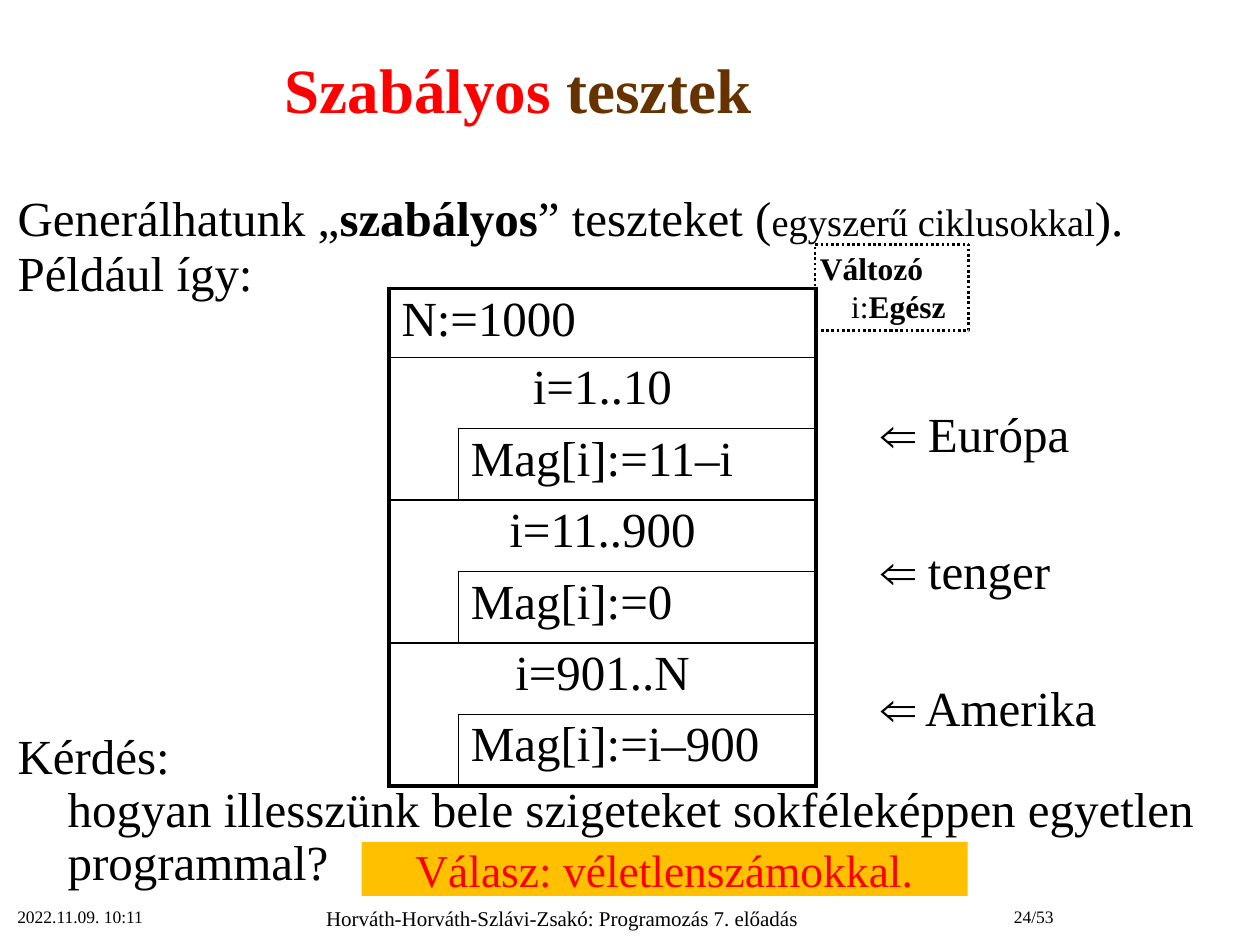
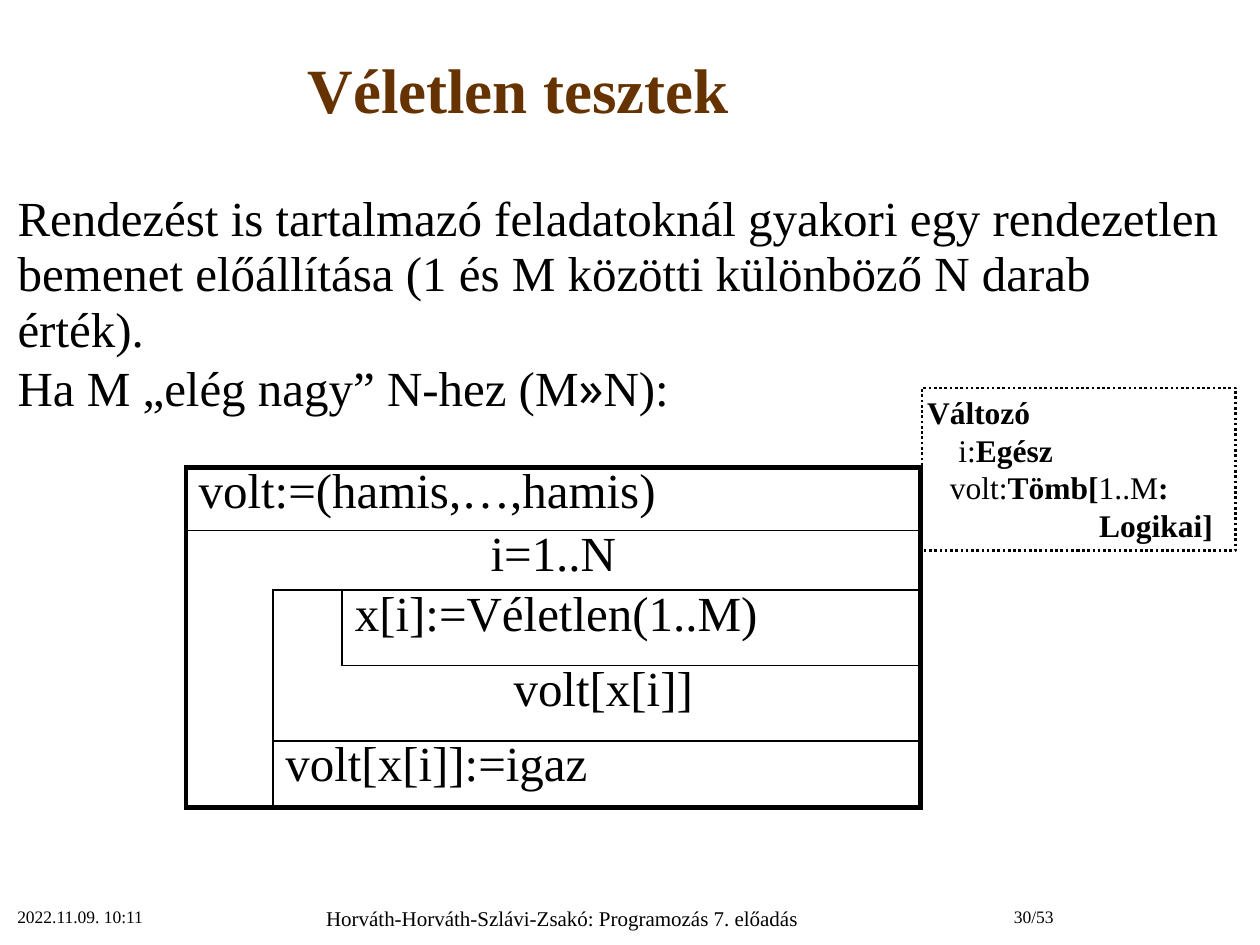
"""Build two lecture slides about regular and random test data."""
from dataclasses import dataclass

from lxml import etree
from pptx import Presentation
from pptx import util as u
from pptx.dml.color import RGBColor
from pptx.enum import dml, shapes, text
from pptx.oxml.ns import qn


@dataclass(frozen=True)
class Theme:
    font: str = "Times New Roman"
    symbol_font: str = "Noto Sans"
    black: str = "000000"
    red: str = "FF0000"
    brown: str = "663300"
    amber: str = "FFC000"
    title: int = 36
    body: int = 28
    answer: int = 26
    aside: int = 22
    variable: int = 18
    footer: int = 12
    stamp: int = 10
    plain_table: str = "{2D5ABB26-0587-4C30-8999-92F81FD0307C}"


theme = Theme()
LEFT, CENTER, RIGHT = text.PP_ALIGN.LEFT, text.PP_ALIGN.CENTER, text.PP_ALIGN.RIGHT
BOLD = {"bold": True}


def write(frame, spans, size=theme.body, color=theme.black, bold=False, font=theme.font,
          align=LEFT, leading=1.0, before=0, indent=0):
    """Add one paragraph made of a string or of (text, format) spans."""
    first = frame.paragraphs[0]
    para = frame.add_paragraph() if first.runs else first
    para.alignment = align
    para.line_spacing = leading
    para.space_before = u.Pt(before)
    properties = para._p.get_or_add_pPr()
    properties.set("marL", str(u.Cm(indent)))
    properties.set("indent", "0")
    etree.SubElement(properties, qn("a:buNone"))
    for words, style in [(spans, {})] if isinstance(spans, str) else spans:
        span = para.add_run()
        span.text = words
        span.font.name = style.get("font", font)
        span.font.size = u.Pt(style.get("size", size))
        span.font.bold = style.get("bold", bold)
        span.font.color.rgb = RGBColor.from_string(style.get("color", color))


def draw_edges(cell, edges, heavy):
    """Rule the named sides of a cell, capitals heavy and small letters thin; clear the rest."""
    properties = cell._tc.get_or_add_tcPr()
    for side in "LRTB":
        width = heavy if side in edges else 1
        line = etree.SubElement(properties, qn(f"a:ln{side}"), w=str(u.Pt(width)))
        if side in edges.upper():
            fill = etree.SubElement(line, qn("a:solidFill"))
            etree.SubElement(fill, qn("a:srgbClr"), val=theme.black)
        else:
            etree.SubElement(line, qn("a:noFill"))
    cell.fill.background()


deck = Presentation()
deck.slide_width, deck.slide_height = u.Cm(25.4), u.Cm(19.05)

regular_loops = [("i=1..10", "Mag[i]:=11–i"), ("i=11..900", "Mag[i]:=0"),
                 ("i=901..N", "Mag[i]:=i–900")]
regular_blocks = [(0, 0, 2, "N:=1000", {}, "LTRb")]
for index, (header, step) in enumerate(regular_loops):
    row = 2 * index + 1
    bottom = "B" if index == len(regular_loops) - 1 else "b"
    regular_blocks += [(row, 0, 2, header, {"align": CENTER}, "LtR"),
                       (row + 1, 0, 1, "", {}, "Lr" + bottom),
                       (row + 1, 1, 1, step, {}, "ltR" + bottom)]

random_blocks = [
    (0, 0, 3, "volt:=(hamis,…,hamis)", {}, "LTRb"),
    (1, 0, 3, "i=1..N", {"align": CENTER}, "LtR"),
    (2, 0, 1, "", {}, "Lr"),
    (2, 1, 1, "", {}, "ltr"),
    (2, 2, 1, "x[i]:=Véletlen(1..M)", {}, "ltRb"),
    (3, 0, 1, "", {}, "Lr"),
    (3, 1, 1, "", {}, "lb"),
    (3, 2, 1, "volt[x[i]]", {"indent": 3.2}, "tRb"),
    (4, 0, 1, "", {}, "LrB"),
    (4, 1, 2, "volt[x[i]]:=igaz", {}, "ltRB"),
]

variable_lines = [("Változó", 0), ([("i:", {}), ("Egész", BOLD)], 0.63)]
array_lines = [([("volt:", {}), ("Tömb[", BOLD), ("1..M", {}), (":", BOLD)], 0.46),
               ("Logikai]", 3.47)]

lessons = [
    {
        "title": [("Szabályos", {"color": theme.red}), (" tesztek", {})],
        "body": [
            ([("Generálhatunk „", {}), ("szabályos", BOLD), ("” teszteket (", {}),
              ("egyszerű ciklusokkal", {"size": theme.aside}), ("). Például így:", {})],
             {"leading": 0.95}),
            ("Kérdés:", {"before": 245, "leading": 0.9}),
            ("hogyan illesszünk bele szigeteket sokféleképpen egyetlen programmal?",
             {"leading": 0.9, "indent": 1.01}),
        ],
        "body_height": 14.33,
        "number": "24/53",
        "table_at": (7.84, 5.82),
        "columns": [1.4, 7.21],
        "rows": [1.37] + [1.44] * 6,
        "blocks": regular_blocks,
        "heavy": 2.25,
        "leading": 0.95,
        "variables_at": (16.43, 4.93, 3.1, 1.73),
        "variables": variable_lines,
    },
    {
        "title": "Véletlen tesztek",
        "body": [
            ("Rendezést is tartalmazó feladatoknál gyakori egy rendezetlen bemenet "
             "előállítása (1 és M közötti különböző N darab érték).", {"leading": 0.95}),
            ([("Ha M „elég nagy” N-hez (M", {}), ("»", {"font": theme.symbol_font}),
              ("N):", {})], {"before": 1.4, "leading": 0.95}),
        ],
        "body_height": 13.21,
        "number": "30/53",
        "table_at": (3.75, 9.42),
        "columns": [1.75, 1.4, 11.66],
        "rows": [1.27, 1.19, 1.52, 1.52, 1.35],
        "blocks": random_blocks,
        "heavy": 3,
        "leading": 0.8,
        "variables_at": (18.59, 7.82, 6.32, 3.28),
        "variables": variable_lines + array_lines,
    },
]

for lesson in lessons:
    page = deck.slides.add_slide(deck.slide_layouts[1])

    title, body = page.placeholders
    for holder, place in ((title, (0, 0.23, 20.9, 3.1)),
                          (body, (0.1, 3.73, 24.82, lesson["body_height"]))):
        holder.left, holder.top, holder.width, holder.height = map(u.Cm, place)
        holder.text_frame.auto_size = text.MSO_AUTO_SIZE.NONE
    title.text_frame.vertical_anchor = text.MSO_ANCHOR.MIDDLE
    write(title.text_frame, lesson["title"], size=theme.title, color=theme.brown,
          bold=True, align=CENTER)
    for spans, style in lesson["body"]:
        write(body.text_frame, spans, **style)

    for words, left, width, size, align in (
            ("2022.11.09. 10:11", 0.1, 5.28, theme.stamp, LEFT),
            ("Horváth-Horváth-Szlávi-Zsakó: Programozás 7. előadás", 5.38, 11.91,
             theme.footer, CENTER),
            (lesson["number"], 18.26, 3.23, theme.stamp, RIGHT)):
        box = page.shapes.add_textbox(u.Cm(left), u.Cm(18.14), u.Cm(width), u.Cm(0.91))
        box.text_frame.word_wrap = True
        write(box.text_frame, words, size=size, align=align)

    columns, rows = lesson["columns"], lesson["rows"]
    left, top = lesson["table_at"]
    table = page.shapes.add_table(len(rows), len(columns), u.Cm(left), u.Cm(top),
                                  u.Cm(sum(columns)), u.Cm(sum(rows))).table
    table.first_row = table.horz_banding = False
    table._tbl.tblPr.find(qn("a:tableStyleId")).text = theme.plain_table
    for column, width in zip(table.columns, columns):
        column.width = u.Cm(width)
    for row, height in zip(table.rows, rows):
        row.height = u.Cm(height)
    for row, column, reach, words, style, edges in lesson["blocks"]:
        cell = table.cell(row, column)
        if reach > 1:
            cell.merge(table.cell(row, column + reach - 1))
        for offset in range(reach):
            hidden = "" if offset == 0 else "Ll" if offset == reach - 1 else "LlRr"
            kept = "".join(edge for edge in edges if edge not in hidden)
            draw_edges(table.cell(row, column + offset), kept, lesson["heavy"])
        if words:
            write(cell.text_frame, words, leading=lesson["leading"], **style)

    box = page.shapes.add_shape(shapes.MSO_SHAPE.RECTANGLE, *map(u.Cm, lesson["variables_at"]))
    box.shadow.inherit = False
    box.fill.background()
    box.line.color.rgb = RGBColor.from_string(theme.black)
    box.line.width = u.Pt(1.5)
    box.line.dash_style = dml.MSO_LINE.ROUND_DOT
    frame = box.text_frame
    frame.margin_left = frame.margin_right = frame.margin_top = frame.margin_bottom = u.Cm(0.1)
    frame.vertical_anchor = text.MSO_ANCHOR.TOP
    for spans, indent in lesson["variables"]:
        write(frame, spans, size=theme.variable, bold=isinstance(spans, str), indent=indent)

page = deck.slides[0]
box = page.shapes.add_textbox(u.Cm(17.5), u.Cm(8), u.Cm(5.99), u.Cm(8))
box.text_frame.word_wrap = True
for index, region in enumerate(["Európa", "tenger", "Amerika"]):
    write(box.text_frame, f"⇐ {region}", before=44.8 if index else 0)

answer = page.shapes.add_shape(shapes.MSO_SHAPE.RECTANGLE, u.Cm(7.29), u.Cm(16.97),
                               u.Cm(12.22), u.Cm(1.09))
answer.shadow.inherit = False
answer.fill.solid()
answer.fill.fore_color.rgb = RGBColor.from_string(theme.amber)
answer.line.fill.background()
answer.text_frame.margin_top = answer.text_frame.margin_bottom = 0
write(answer.text_frame, "Válasz: véletlenszámokkal.", size=theme.answer,
      color=theme.red, align=CENTER)

deck.save("out.pptx")
